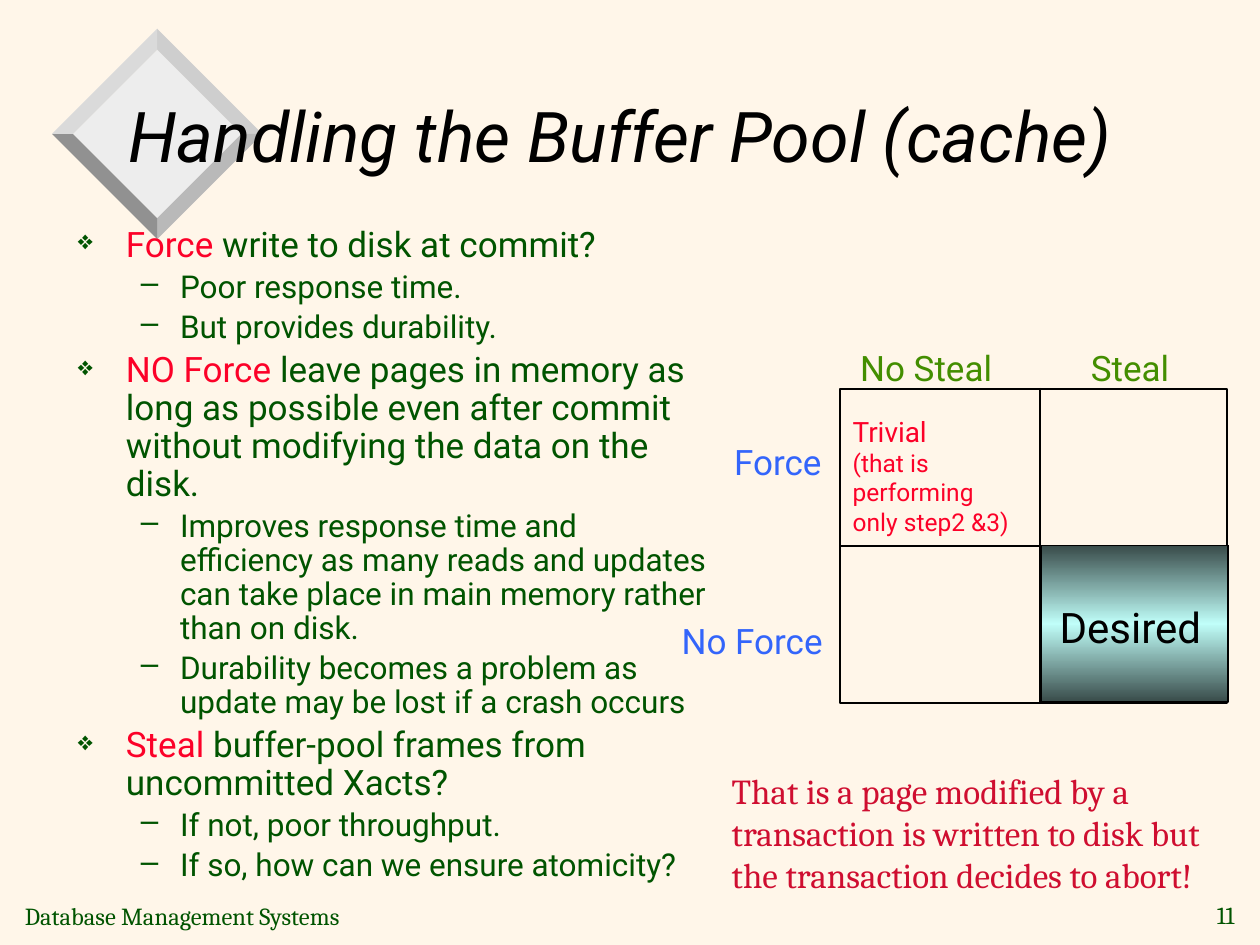
import copy
import pptx
import pptx.util
import pptx.dml.color
import pptx.enum.shapes
import pptx.enum.text
import pptx.oxml
import pptx.oxml.ns

Cm, Pt = pptx.util.Cm, pptx.util.Pt
Align = pptx.enum.text.PP_ALIGN
Mid = pptx.enum.text.MSO_ANCHOR.MIDDLE
Fit = pptx.enum.text.MSO_AUTO_SIZE
NS = pptx.oxml.ns.nsdecls("a")
SANS, SERIF = "Roboto", "Cambria"
BLACK, GREEN, RED = "000000", "005400", "FC0128"
BLUE, LIME, WINE = "3365FB", "438E00", "CF0E30"
DARK, PALE = "394C4A", "C0FEF9"


def hue(code):
    return pptx.dml.color.RGBColor.from_string(code)


class Deck:
    """Draws styled elements on the current slide."""

    def __init__(self, wide, high, back):
        self.file = pptx.Presentation()
        self.file.slide_width, self.file.slide_height = Cm(wide), Cm(high)
        self.slide = self.file.slides.add_slide(self.file.slide_layouts[6])
        self.slide.background.fill.solid()
        self.slide.background.fill.fore_color.rgb = hue(back)
        self.shapes = self.slide.shapes

    def run(self, para, text, size, color, font=SANS, **extra):
        part = para.add_run()
        part.text = text
        style = {"name": font, "size": Pt(size), **extra}
        for key, value in style.items():
            setattr(part.font, key, value)
        part.font.color.rgb = hue(color)

    def frame(self, box, wrap=True, grow=True, anchor=None):
        frame = self.shapes.add_textbox(*map(Cm, box)).text_frame
        style = {"word_wrap": wrap, "vertical_anchor": anchor,
                 "auto_size": Fit.SHAPE_TO_FIT_TEXT if grow else Fit.NONE}
        for key, value in style.items():
            setattr(frame, key, value)
        return frame

    def text(self, box, lines, color, font=SANS, align=Align.LEFT,
             italic=False, **form):
        frame = self.frame(box, **form)
        for at, (text, size) in enumerate(lines):
            para = frame.add_paragraph() if at else frame.paragraphs[0]
            para.alignment = align
            self.run(para, text, size, color, font, italic=italic)

    def list(self, box, items):
        frame = self.frame(box, grow=False)
        for at, (lead, rest) in enumerate(items):
            para = frame.add_paragraph() if at else frame.paragraphs[0]
            size, mark, left, hang, scale = (
                (20, "❖", 0.97, 0.97, 75) if lead else (18, "–", 2.06, 0.79, 100))
            style = {"level": 0 if lead else 1, "line_spacing": 0.9,
                     "space_before": Pt(size * 0.2), "alignment": Align.LEFT}
            for key, value in style.items():
                setattr(para, key, value)
            props = para._p.get_or_add_pPr()
            props.set("marL", str(Cm(left)))
            props.set("indent", str(-Cm(hang)))
            for tag in (f'<a:buClr {NS}><a:srgbClr val="{GREEN}"/></a:buClr>',
                        f'<a:buSzPct {NS} val="{scale * 1000}"/>',
                        f'<a:buChar {NS} char="{mark}"/>'):
                props.append(pptx.oxml.parse_xml(tag))
            if lead:
                self.run(para, lead, size, RED)
            self.run(para, rest, size, GREEN)

    def facet(self, points, color):
        spots = [(Cm(x), Cm(y)) for x, y in points]
        pen = self.shapes.build_freeform(*spots[0])
        pen.add_line_segments(spots[1:], close=True)
        shape = pen.convert_to_shape()
        shape.shadow.inherit = False
        shape.fill.solid()
        shape.fill.fore_color.rgb = hue(color)
        shape.line.fill.background()

    def rect(self, box, blend=None):
        kind = pptx.enum.shapes.MSO_SHAPE.RECTANGLE
        shape = self.shapes.add_shape(kind, *map(Cm, box))
        shape.shadow.inherit = False
        shape.line.color.rgb = hue(BLACK)
        shape.line.width = Pt(1)
        if not blend:
            shape.fill.background()
            return
        shape.fill.gradient()
        shape.fill.gradient_angle = 90
        stops = shape._element.spPr.find(".//" + pptx.oxml.ns.qn("a:gsLst"))
        stops.insert(1, copy.deepcopy(stops[0]))
        for at, (stop, color) in enumerate(zip(shape.fill.gradient_stops, blend)):
            stop.position = at / 2
            stop.color.rgb = hue(color)

    def line(self, *ends):
        kind = pptx.enum.shapes.MSO_CONNECTOR.STRAIGHT
        line = self.shapes.add_connector(kind, *map(Cm, ends))
        line.line.color.rgb = hue(BLACK)
        line.line.width = Pt(1)
        line._element.spPr.append(pptx.oxml.parse_xml(f"<a:effectLst {NS}/>"))


def gem(deck, x, y, small, large):
    turns = [(0, -1), (1, 0), (0, 1), (-1, 0)]
    core, rim = ([(x + r * a, y + r * b) for a, b in turns] for r in (small, large))
    deck.facet(core, "EDEDED")
    for at, color in enumerate(("CECECE", "B9B9B9", "919191", "DADADA")):
        to = (at + 1) % 4
        deck.facet([core[at], rim[at], rim[to], core[to]], color)


def main():
    deck = Deck(25.4, 19.05, "FFF6E9")
    gem(deck, 3.17, 2.7, 1.7, 2.12)
    deck.text((0.25, 18.03, 7.44, 0.84), [("Database Management Systems", 14)],
              GREEN, SERIF, wrap=False, anchor=Mid)
    deck.text((24, 18.01, 1.14, 0.84), [("11", 14)], GREEN, SERIF, Align.RIGHT,
              wrap=False, anchor=Mid)
    deck.text((2.34, 1.17, 21.59, 3.07), [("Handling the Buffer Pool (cache)", 40)],
              BLACK, italic=True, grow=False, anchor=Mid)
    deck.list((1.32, 4.45, 13.21, 13.77), [
        ("Force", " write to disk at commit?"),
        ("", "Poor response time."),
        ("", "But provides durability."),
        ("NO Force ", "leave pages in memory as long as possible even after "
         "commit without modifying the data on the disk."),
        ("", "Improves response time and efficiency as many reads and updates "
         "can take place in main memory rather than on disk."),
        ("", "Durability becomes a problem as update may be lost if a crash occurs"),
        ("Steal", " buffer-pool frames from uncommitted Xacts?"),
        ("", "If not, poor throughput."),
        ("", "If so, how can we ensure atomicity?")])
    deck.rect((16.94, 7.85, 7.8, 6.32))
    for word, x, y, wide, color in (("Force", 14.55, 8.76, 2.31, BLUE),
                                    ("No Force", 13.49, 12.37, 3.45, BLUE),
                                    ("No Steal", 17.09, 6.86, 3.25, LIME),
                                    ("Steal", 21.74, 6.86, 2.13, LIME)):
        deck.text((x, y, wide, 1.12), [(word, 20)], color, wrap=False)
    deck.line(16.92, 11, 24.77, 11)
    deck.line(20.96, 7.82, 20.96, 14.17)
    deck.text((16.94, 8.23, 4.19, 2.74),
              [("Trivial", 16), ("(that is performing", 14), ("only step2 &3)", 14)],
              RED)
    deck.rect((20.98, 11, 3.78, 3.15), (DARK, PALE, DARK))
    deck.text((21.11, 12.01, 3.43, 1.3), [("Desired", 24)], BLACK, wrap=False)
    deck.text((14.5, 15.39, 10.9, 2.82),
              [("That is a page modified by a transaction is written to disk but "
                "the transaction decides to abort!", 20)], WINE, SERIF)
    deck.file.save("out.pptx")


if __name__ == "__main__":
    main()
